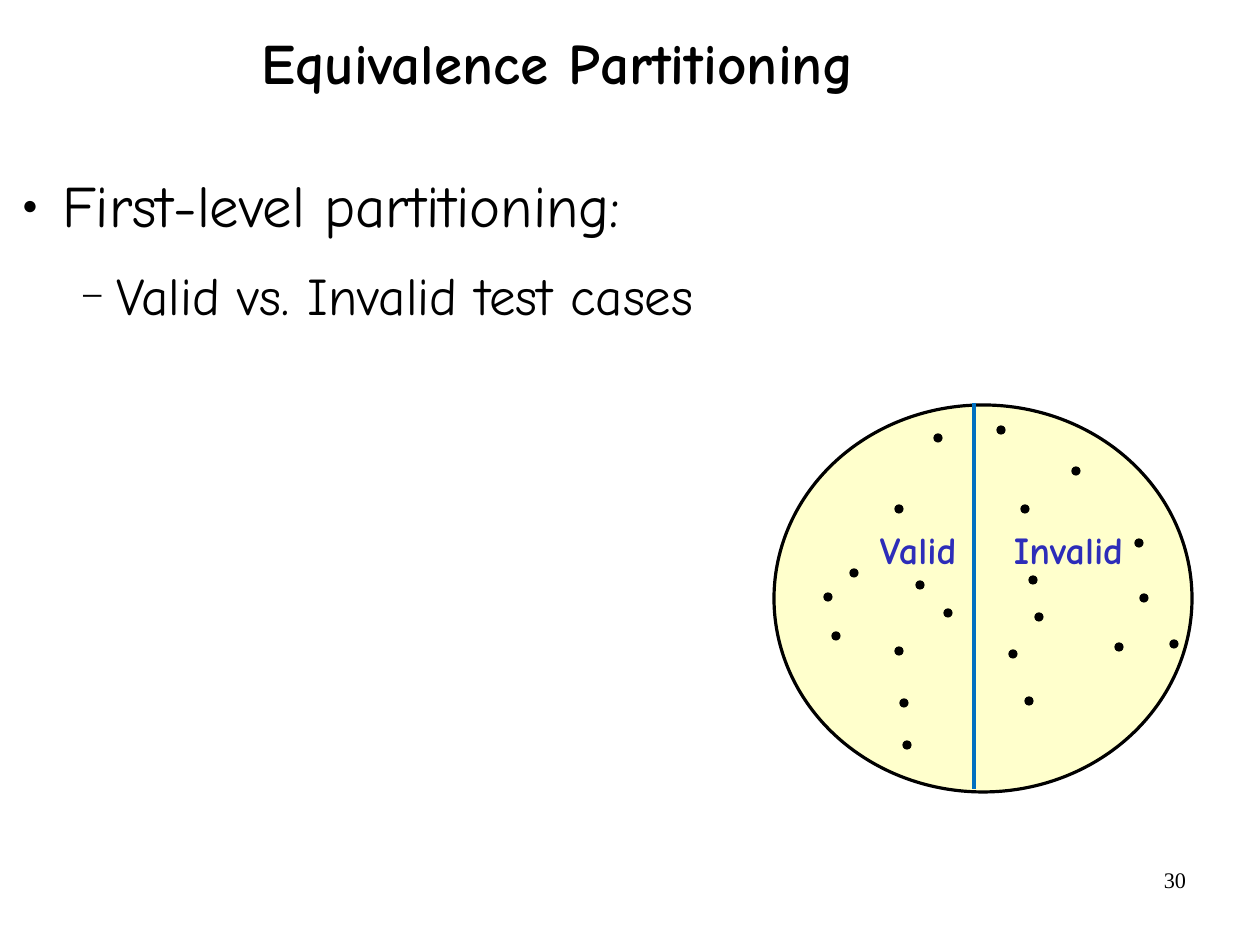
"""Build the Equivalence Partitioning slide."""
from dataclasses import dataclass

from lxml import etree
from pptx import Presentation
from pptx.dml.color import RGBColor as Rgb
from pptx.enum.shapes import MSO_CONNECTOR as Connector, MSO_SHAPE as Shape
from pptx.enum.text import MSO_ANCHOR as Anchor, PP_ALIGN as Align
from pptx.oxml.ns import qn
from pptx.util import Pt

PX = 8000
DOT_RADIUS = 4
VALID_CENTERS = [
    (899, 509), (938, 438), (828, 597), (899, 651), (907, 745), (920, 585),
    (948, 613), (854, 573), (836, 636), (904, 703),
]
INVALID_CENTERS = [
    (1025, 509), (1001, 430), (1139, 543), (1033, 580), (1144, 598), (1119, 647),
    (1174, 644), (1029, 701), (1013, 654), (1039, 617), (1076, 471),
]


@dataclass(frozen=True)
class Theme:
    """Hold the colours, fonts and type sizes of the slide."""
    ink: Rgb = Rgb(0, 0, 0)
    domain: Rgb = Rgb(0xFF, 0xFF, 0xCC)
    divider: Rgb = Rgb(0x00, 0x70, 0xC0)
    label: Rgb = Rgb(0x2D, 0x2D, 0xB9)
    font: str = "Comic Neue"
    plain_font: str = "Times New Roman"
    title_size: float = 36
    topic_size: float = 37
    detail_size: float = 33.3
    label_size: float = 24
    number_size: float = 14


THEME = Theme()


def px(*lengths):
    """Turn px lengths into EMU."""
    return [length * PX for length in lengths]


def add_text_frame(slide, box, margins=(9, 5), wrap=True, anchor=Anchor.TOP):
    """Add a text box and return its frame."""
    frame = slide.shapes.add_textbox(*px(*box)).text_frame
    frame.word_wrap = wrap
    frame.vertical_anchor = anchor
    frame.margin_left = frame.margin_right = margins[0] * PX
    frame.margin_top = frame.margin_bottom = margins[1] * PX
    return frame


def add_run(paragraph, text, size, color=THEME.ink, bold=False, font=THEME.font):
    """Add one styled run to a paragraph."""
    run = paragraph.add_run()
    run.text = text
    run.font.name = font
    run.font.size = Pt(size)
    run.font.bold = bold
    run.font.color.rgb = color


def add_bullet(paragraph, mark, percent, indent, hanging):
    """Give a paragraph a bullet with a hanging indent."""
    properties = paragraph._p.get_or_add_pPr()
    properties.set("marL", str(indent * PX))
    properties.set("indent", str(-hanging * PX))
    color = etree.SubElement(properties, qn("a:buClr"))
    etree.SubElement(color, qn("a:srgbClr"), val=str(THEME.ink))
    etree.SubElement(properties, qn("a:buSzPct"), val=str(percent * 1000))
    etree.SubElement(properties, qn("a:buFont"), typeface=THEME.plain_font)
    etree.SubElement(properties, qn("a:buChar"), char=mark)


def add_outline(slide):
    """Add the two-level bulleted text."""
    frame = add_text_frame(slide, (0, 169, 1239, 178))
    topic, detail = frame.paragraphs[0], frame.add_paragraph()
    detail.level = 1
    add_bullet(topic, "●", 45, 53, 40)
    add_bullet(detail, "−", 75, 107, 35)
    detail.space_before = Pt(7.5)
    for paragraph in (topic, detail):
        paragraph.line_spacing = 0.95
        paragraph.space_after = Pt(9)
    add_run(topic, "First-level partitioning:", THEME.topic_size)
    add_run(detail, "Valid vs. Invalid test cases", THEME.detail_size)


def add_ellipse(slide, box, fill, line_width):
    """Add a filled ellipse with an ink outline."""
    ellipse = slide.shapes.add_shape(Shape.OVAL, *px(*box))
    ellipse.shadow.inherit = False
    ellipse.fill.solid()
    ellipse.fill.fore_color.rgb = fill
    ellipse.line.color.rgb = THEME.ink
    ellipse.line.width = Pt(line_width)


def add_test_case(slide, x, y):
    """Mark one test case with a dot around its centre."""
    size = 2 * DOT_RADIUS
    add_ellipse(slide, (x - DOT_RADIUS, y - DOT_RADIUS, size, size), THEME.ink, 0.75)


def add_divider(slide, x, top, bottom):
    """Add the vertical line between the two partitions."""
    divider = slide.shapes.add_connector(Connector.STRAIGHT, *px(x, top, x, bottom))
    divider.line.color.rgb = THEME.divider
    divider.line.width = Pt(3)
    etree.SubElement(divider._element.spPr, qn("a:effectLst"))


def add_label(slide, text, left, width):
    """Name one partition."""
    frame = add_text_frame(slide, (left, 521, width, 55), wrap=False)
    add_run(frame.paragraphs[0], text, THEME.label_size, THEME.label, bold=True)


def main():
    """Build and save the slide."""
    deck = Presentation()
    deck.slide_width, deck.slide_height = px(1260, 945)
    slide = deck.slides.add_slide(deck.slide_layouts[6])

    number = add_text_frame(slide, (903, 860, 294, 65), (11, 6)).paragraphs[0]
    number.alignment = Align.RIGHT
    add_run(number, "30", THEME.number_size, font=THEME.plain_font)

    add_ellipse(slide, (774, 405, 418, 387), THEME.domain, 2)

    title = add_text_frame(slide, (133, -9, 850, 150), anchor=Anchor.MIDDLE).paragraphs[0]
    title.alignment = Align.CENTER
    title.line_spacing = 0.88
    add_run(title, "Equivalence Partitioning", THEME.title_size, bold=True)

    add_outline(slide)
    add_label(slide, "Valid", 871, 97)
    add_label(slide, "Invalid", 1005, 129)
    add_divider(slide, 974, 403, 789)
    for x, y in VALID_CENTERS + INVALID_CENTERS:
        add_test_case(slide, x, y)

    deck.save("out.pptx")


if __name__ == "__main__":
    main()
